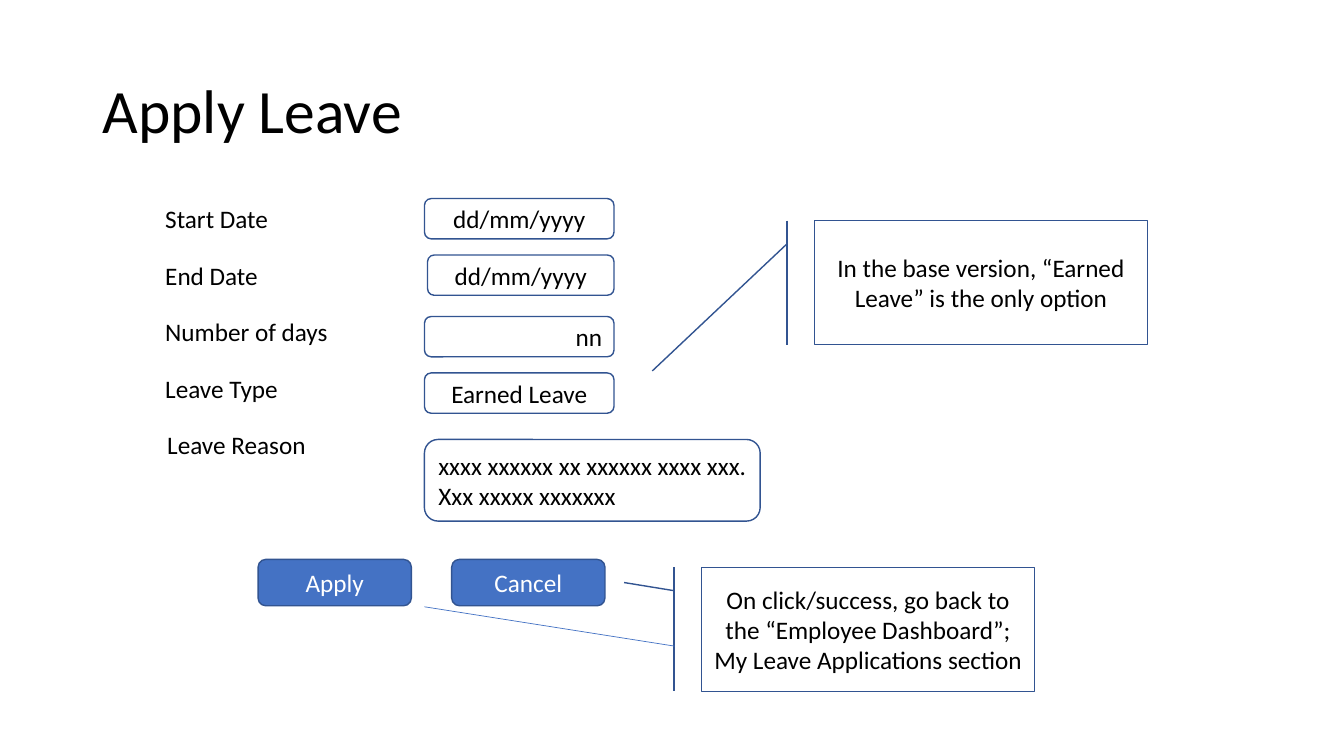
from dataclasses import dataclass

from lxml.etree import SubElement
from pptx import Presentation
from pptx.dml.color import RGBColor
from pptx.enum.shapes import MSO_CONNECTOR, MSO_SHAPE
from pptx.enum.text import MSO_ANCHOR, PP_ALIGN
from pptx.oxml.ns import qn
from pptx.util import Inches, Pt


@dataclass(frozen=True)
class Theme:
    """Colours, font and sizes of the slide."""
    font: str = "Calibri"
    title: int = 44
    body: int = 18
    text: str = "000000"
    light: str = "FFFFFF"
    accent: str = "4472C4"
    border: str = "325491"
    border_width: float = 1
    thin_width: float = 0.5


THEME = Theme()


def rgb(value):
    """Turn a hex string into a colour."""
    return RGBColor.from_string(value)


def set_text(sp, text, size=THEME.body, color=THEME.text, align=PP_ALIGN.LEFT,
             anchor=MSO_ANCHOR.MIDDLE, spacing=None):
    """Write formatted text into a shape."""
    tf = sp.text_frame
    tf.word_wrap = True
    tf.vertical_anchor = anchor
    p = tf.paragraphs[0]
    p.alignment = align
    p.line_spacing = spacing
    r = p.add_run()
    r.text = text
    r.font.name = THEME.font
    r.font.size = Pt(size)
    r.font.color.rgb = rgb(color)


def add_label(s, box, text, **fmt):
    """Add a text box."""
    sp = s.shapes.add_textbox(*map(Inches, box))
    set_text(sp, text, **fmt)


def add_box(s, kind, box, text, fill=None, align=PP_ALIGN.CENTER, **fmt):
    """Add an outlined shape with text."""
    sp = s.shapes.add_shape(kind, *map(Inches, box))
    sp.shadow.inherit = False
    if fill:
        sp.fill.solid()
        sp.fill.fore_color.rgb = rgb(fill)
    else:
        sp.fill.background()
    sp.line.color.rgb = rgb(THEME.border)
    sp.line.width = Pt(THEME.border_width)
    set_text(sp, text, align=align, **fmt)
    return sp


def add_line(s, start, end):
    """Add a thin straight line."""
    cn = s.shapes.add_connector(MSO_CONNECTOR.STRAIGHT, *map(Inches, start + end))
    cn.line.color.rgb = rgb(THEME.accent)
    cn.line.width = Pt(THEME.thin_width)
    SubElement(cn._element.spPr, qn("a:effectLst"))


def add_form(s, left, top):
    """Place the field labels and their input boxes."""
    center, right, justify = PP_ALIGN.CENTER, PP_ALIGN.RIGHT, PP_ALIGN.JUSTIFY
    fields = [
        ("Start Date", 0, "dd/mm/yyyy", (2.67, 0, 1.88, 0.4), center),
        ("End Date", 0, "dd/mm/yyyy", (2.7, 0.56, 1.85, 0.4), center),
        ("Number of days", 0, "nn", (2.67, 1.17, 1.88, 0.4), right),
        ("Leave Type", 0, "Earned Leave", (2.67, 1.73, 1.88, 0.4), center),
        ("Leave Reason", 0.02, "xxxx xxxxxx xx xxxxxx xxxx xxx. Xxx xxxxx xxxxxxx",
         (2.67, 2.39, 3.33, 0.81), justify),
    ]
    for i, (label, indent, value, (x, y, w, h), align) in enumerate(fields):
        add_label(s, (left + indent, top + i * 0.56, 2.99, 0.4), label,
                  anchor=MSO_ANCHOR.TOP)
        add_box(s, MSO_SHAPE.ROUNDED_RECTANGLE, (left + x, top + y, w, h), value,
                align=align)


def add_buttons(s, left, top):
    """Place the row of buttons."""
    for i, name in enumerate(("Apply", "Cancel")):
        add_box(s, MSO_SHAPE.ROUNDED_RECTANGLE, (left + i * 1.92, top, 1.52, 0.46),
                name, fill=THEME.accent, color=THEME.light)


def add_callout(s, left, top, text, tip):
    """Place a note with an accent bar and a leader to the tip."""
    w, h = 3.3, 1.23
    sp = add_box(s, MSO_SHAPE.LINE_CALLOUT_1_BORDER_AND_ACCENT_BAR,
                 (left, top, w, h), text)
    tip_x, tip_y = tip
    for i, value in enumerate((0.1875, -0.0833, (tip_y - top) / h, (tip_x - left) / w)):
        sp.adjustments[i] = value


def main():
    """Build and save the slide."""
    prs = Presentation()
    prs.slide_width, prs.slide_height = Inches(13.33), Inches(7.5)
    s = prs.slides.add_slide(prs.slide_layouts[6])
    add_label(s, (0.92, 0.4, 11.5, 1.45), "Apply Leave", size=THEME.title, spacing=0.9)
    add_form(s, 1.54, 1.97)
    add_buttons(s, 2.56, 5.55)
    add_callout(s, 6.96, 5.63, "On click/success, go back to the “Employee Dashboard”; "
                "My Leave Applications section", tip=(6.19, 5.78))
    add_callout(s, 8.08, 2.19, "In the base version, “Earned Leave” is the only option",
                tip=(6.47, 3.68))
    add_line(s, (4.21, 6.02), (6.69, 6.41))
    prs.save("out.pptx")


if __name__ == "__main__":
    main()
